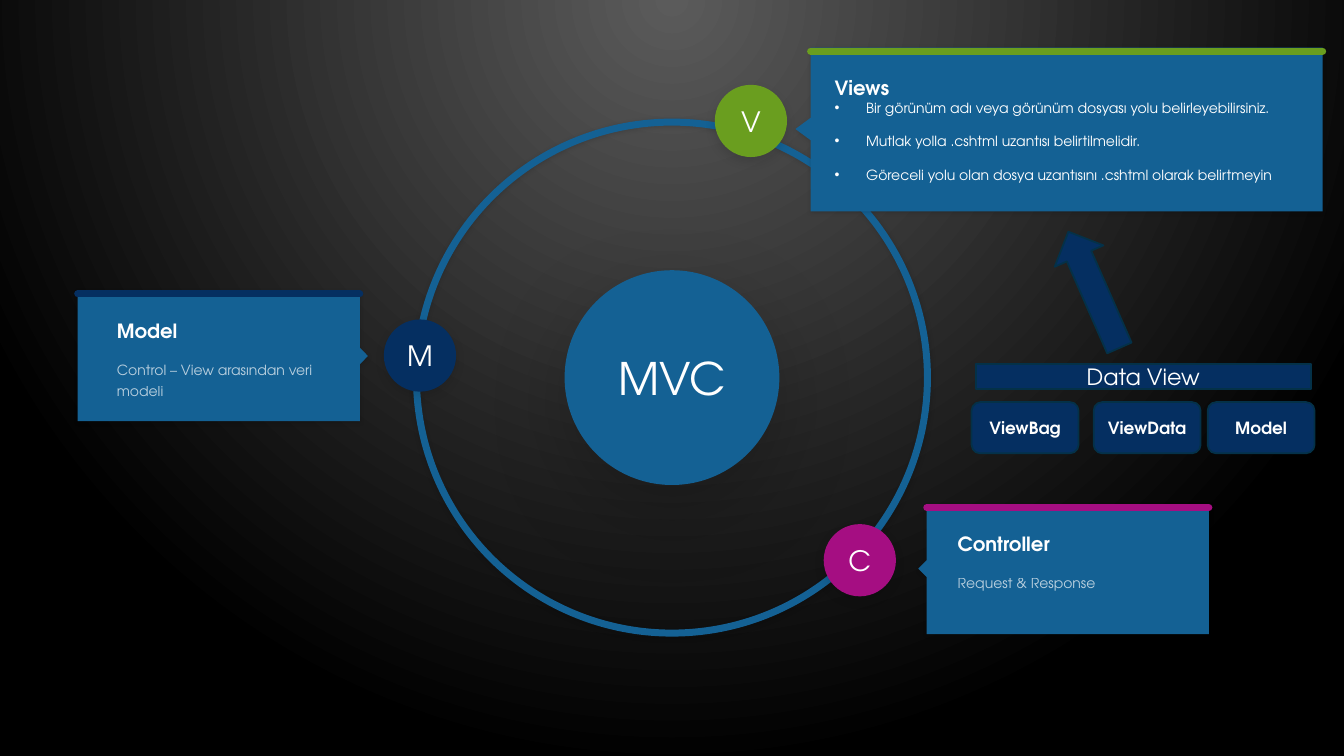
"""Build the MVC overview slide: ring, role badges, role cards and the data-view block."""
from lxml.etree import SubElement
from pptx import Presentation
from pptx.dml.color import RGBColor
from pptx.enum.shapes import MSO_CONNECTOR, MSO_SHAPE
from pptx.enum.text import MSO_ANCHOR, PP_ALIGN
from pptx.oxml.ns import qn
from pptx.util import Pt

FONT = "TeX Gyre Adventor"
BLUE = RGBColor(0x14, 0x61, 0x94)
NAVY = RGBColor(0x05, 0x2F, 0x61)
EDGE = RGBColor(0x04, 0x31, 0x48)
MAGENTA = RGBColor(0xA5, 0x0E, 0x82)
GREEN = RGBColor(0x6A, 0x9E, 0x1F)
WHITE = RGBColor(0xFF, 0xFF, 0xFF)
GREY = RGBColor(0x5B, 0x5B, 0x5B)
BLACK = RGBColor(0, 0, 0)

CARD_SHADOW = (15, 3, 1)
BADGE_SHADOW = (11, 7, 3)
HUB_SHADOW = (20, 60, 20)

CENTER = (480, 270 + 104.75 - 105)
RING_SIZE, HUB_SIZE, BADGE_SIZE = 365, 153.4, 51.6
BADGES = [
    ("M", NAVY, 300, 254),
    ("C", MAGENTA, 614.2, 400.2),
    ("V", GREEN, 536.4, 86.4),
]
CARDS = [
    dict(title="Controller", body="Request & Response", accent=MAGENTA,
         near=662, far=863.5, tip=656, top=360, height=93, notch=406.2, half=6),
    dict(title="Views", accent=GREEN,
         bullets=["Bir görünüm adı veya görünüm dosyası yolu belirleyebilirsiniz.",
                  "Mutlak yolla .cshtml uzantısı belirtilmelidir.",
                  "Göreceli yolu olan dosya uzantısını .cshtml olarak belirtmeyin"],
         near=579, far=944.8, tip=568.2, top=34, height=117, notch=92.2, half=8),
    dict(title="Model", body="Control – View arasından veri modeli", accent=NAVY,
         near=257, far=55.5, tip=262.8, top=207.5, height=93.3, notch=254.3, half=6),
]
DATA_SOURCES = [("ViewBag", 694), ("ViewData", 781.2), ("Model", 862.6)]

deck = Presentation()
deck.slide_width, deck.slide_height = Pt(960), Pt(540)
slide = deck.slides.add_slide(deck.slide_layouts[6])


def paint_background():
    glow = slide.background.fill
    glow.gradient()
    for stop, color in zip(glow.gradient_stops, (GREY, BLACK)):
        stop.color.rgb = color
    linear = slide._element.find(".//" + qn("a:lin"))
    gradient = linear.getparent()
    gradient.remove(linear)
    radial = SubElement(gradient, qn("a:path"), path="circle")
    SubElement(radial, qn("a:fillToRect"), l="0", t="0", r="0", b="100000")


def style(shape, fill=None, line=None, weight=1.25, shadow=None):
    if fill is None:
        shape.fill.background()
    else:
        shape.fill.solid()
        shape.fill.fore_color.rgb = fill
    if line is None:
        shape.line.fill.background()
    else:
        shape.line.color.rgb = line
        shape.line.width = Pt(weight)
    shape.shadow.inherit = False
    if shadow:
        opacity, blur, distance = shadow
        effects = shape._element.spPr.find(qn("a:effectLst"))
        outer = SubElement(effects, qn("a:outerShdw"), blurRad=str(Pt(blur)),
                           dist=str(Pt(distance)), dir="5400000", algn="t", rotWithShape="0")
        black = SubElement(outer, qn("a:srgbClr"), val=str(BLACK))
        SubElement(black, qn("a:alpha"), val=str(opacity * 1000))


def write(paragraph, text, size, bold=False, align=PP_ALIGN.LEFT):
    paragraph.text = text
    paragraph.alignment = align
    paragraph.font.name = FONT
    paragraph.font.size = Pt(size)
    paragraph.font.bold = bold
    paragraph.font.color.rgb = WHITE


def add_block(kind, left, top, width, height, label="", size=12, bold=False, **look):
    block = slide.shapes.add_shape(kind, Pt(left), Pt(top), Pt(width), Pt(height))
    style(block, **look)
    if label:
        block.text_frame.vertical_anchor = MSO_ANCHOR.MIDDLE
        write(block.text_frame.paragraphs[0], label, size, bold, PP_ALIGN.CENTER)
    return block


def add_circle(x, y, diameter, label="", size=20, **look):
    return add_block(MSO_SHAPE.OVAL, x - diameter / 2, y - diameter / 2,
                     diameter, diameter, label, size, **look)


def add_card(title, accent, near, far, tip, top, height, notch, half, body="", bullets=()):
    bottom = top + height
    outline = [(far, top), (far, bottom), (near, bottom),
               (near, notch + half), (tip, notch), (near, notch - half)]
    builder = slide.shapes.build_freeform(Pt(near), Pt(top))
    builder.add_line_segments([(Pt(x), Pt(y)) for x, y in outline], close=True)
    card = builder.convert_to_shape()
    style(card, fill=BLUE, shadow=CARD_SHADOW)

    frame = card.text_frame
    frame.word_wrap = True
    frame.vertical_anchor = MSO_ANCHOR.TOP
    frame.margin_left = frame.margin_right = Pt(28)
    frame.margin_top, frame.margin_bottom = Pt(20), Pt(3.6)
    write(frame.paragraphs[0], title, 14, bold=True)
    if body:
        detail = frame.add_paragraph()
        write(detail, body, 10)
        detail.space_before = Pt(10)
        detail.line_spacing = 1.3
        SubElement(detail._p.find(".//" + qn("a:srgbClr")), qn("a:alpha"), val="70000")
    for index, bullet in enumerate(bullets):
        item = frame.add_paragraph()
        properties = item._p.get_or_add_pPr()
        properties.set("marL", str(Pt(22.5)))
        properties.set("indent", str(-Pt(22.5)))
        SubElement(properties, qn("a:buFont"), typeface="Arial")
        SubElement(properties, qn("a:buChar"), char="•")
        write(item, bullet, 10)
        item.space_before = Pt(12 if index else 0)

    bar_y = Pt(top + 2.5)
    bar = slide.shapes.add_connector(MSO_CONNECTOR.STRAIGHT, Pt(min(near, far)), bar_y,
                                     Pt(max(near, far)), bar_y)
    bar.line.color.rgb = accent
    bar.line.width = Pt(5)
    bar_properties = bar._element.spPr
    bar_properties.find(qn("a:ln")).set("cap", "rnd")
    SubElement(bar_properties, qn("a:effectLst"))


paint_background()
add_circle(*CENTER, RING_SIZE, line=BLUE, weight=5, shadow=CARD_SHADOW)
hub = add_circle(*CENTER, HUB_SIZE, "MVC", 32, fill=BLUE, shadow=HUB_SHADOW).text_frame
hub.margin_left = hub.margin_right = hub.margin_top = hub.margin_bottom = 0
for letter, color, x, y in BADGES:
    add_circle(x, y, BADGE_SIZE, letter, fill=color, shadow=BADGE_SHADOW)
for card_content in CARDS:
    add_card(**card_content)
for source, left in DATA_SOURCES:
    add_block(MSO_SHAPE.ROUNDED_RECTANGLE, left, 287.2, 76.4, 36.6, source, 12, True,
              fill=NAVY, line=EDGE)
arrow = add_block(MSO_SHAPE.RIGHT_ARROW, 736, 188, 90.7, 38, fill=NAVY, line=EDGE)
arrow.rotation = 246.3
add_block(MSO_SHAPE.RECTANGLE, 697, 260, 239.3, 18, "Data View", 16, fill=NAVY, line=EDGE)

deck.save("out.pptx")
